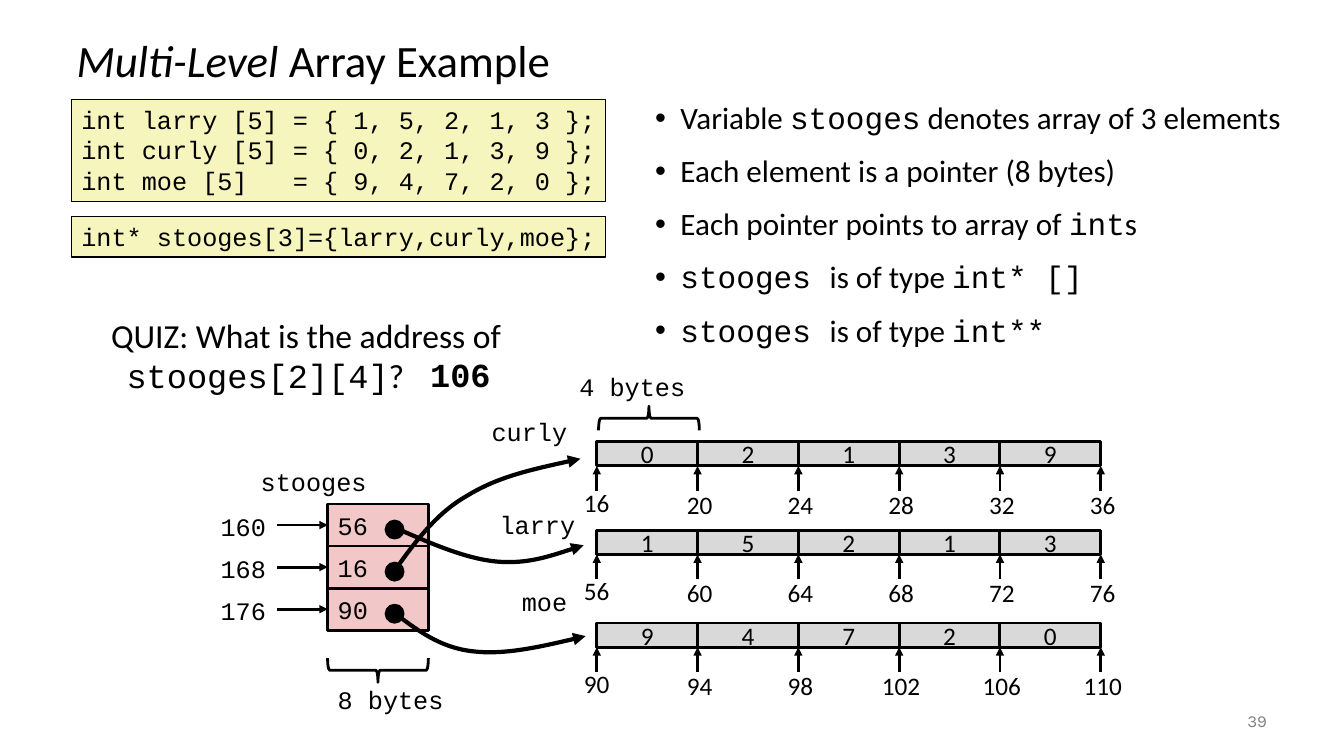
"""Build a slide on multi-level arrays: code, notes and a pointer diagram."""
from dataclasses import dataclass

from lxml import etree
from pptx import Presentation
from pptx.dml.color import RGBColor
from pptx.enum import shapes, text
from pptx.oxml.ns import qn
from pptx.util import Cm, Pt


@dataclass
class Theme:
    ink = RGBColor.from_string("000000")
    code_fill = RGBColor.from_string("F6F5BD")
    pointer_fill = RGBColor.from_string("F1C7C7")
    memory_fill = RGBColor.from_string("D9D9D9")
    muted = RGBColor.from_string("808080")
    sans = "Calibri"
    mono = "Courier New"
    footer = "Karla"
    title = Pt(32)
    quiz = Pt(24)
    body = Pt(22.2)
    label = Pt(18)
    number = Pt(12)


theme = Theme()
LEFT, CENTER, RIGHT = text.PP_ALIGN.LEFT, text.PP_ALIGN.CENTER, text.PP_ALIGN.RIGHT
TOP, MIDDLE = text.MSO_ANCHOR.TOP, text.MSO_ANCHOR.MIDDLE
RECT = shapes.MSO_SHAPE.RECTANGLE


def write(shape, lines, size, wrap=True, anchor=TOP, **layout):
    """Fill a shape with lines of (text, font name, extra format) runs."""
    frame = shape.text_frame
    frame.word_wrap, frame.vertical_anchor = wrap, anchor
    for number, line in enumerate(lines):
        paragraph = frame.add_paragraph() if number else frame.paragraphs[0]
        for name, value in {"alignment": LEFT, **layout}.items():
            if number or name != "space_before":
                setattr(paragraph, name, value)
        for words, font, *extra in line:
            run = paragraph.add_run()
            run.text = words
            style = {"name": font, "size": size, **(extra[0] if extra else {})}
            run.font.color.rgb = style.pop("color", theme.ink)
            for name, value in style.items():
                setattr(run.font, name, value)
    return frame


def outline(shape, width, fill=None, arrow=False):
    """Give a shape or connector its line, fill and optional arrowhead."""
    shape.line.color.rgb = theme.ink
    shape.line.width = Pt(width)
    properties = shape.element.spPr
    if arrow:
        etree.SubElement(properties.find(qn("a:ln")), qn("a:tailEnd"), type="triangle")
    if hasattr(shape, "fill"):
        shape.shadow.inherit = False
        if fill is None:
            shape.fill.background()
        else:
            shape.fill.solid()
            shape.fill.fore_color.rgb = fill
    else:
        etree.SubElement(properties, qn("a:effectLst"))


deck = Presentation()
deck.slide_width, deck.slide_height = Cm(33.87), Cm(19.05)
canvas = deck.slides.add_slide(deck.slide_layouts[6]).shapes

title = canvas.add_textbox(Cm(1.68), Cm(0.64), Cm(30.48), Cm(1.9))
write(title, [[("Multi-Level ", theme.sans, {"italic": True}), ("Array Example", theme.sans)]],
      theme.title, anchor=MIDDLE, line_spacing=0.9)

notes = canvas.add_textbox(Cm(16.26), Cm(2.46), Cm(16.66), Cm(6.76))
facts = write(notes, [
    [("Variable ", theme.sans), ("stooges", theme.mono), (" denotes array of 3 elements", theme.sans)],
    [("Each element is a pointer (8 bytes)", theme.sans)],
    [("Each pointer points to array of ", theme.sans), ("int", theme.mono), ("s", theme.sans)],
    [("stooges ", theme.mono), ("is of type ", theme.sans), ("int* []", theme.mono)],
    [("stooges ", theme.mono), ("is of type ", theme.sans), ("int**", theme.mono)],
], theme.body, line_spacing=0.9, space_before=Pt(14))
for fact in facts.paragraphs:
    indents = fact._p.get_or_add_pPr()
    indents.set("marL", str(Cm(0.64)))
    indents.set("indent", str(-Cm(0.64)))
    etree.SubElement(indents, qn("a:buFont"), typeface="Arial")
    etree.SubElement(indents, qn("a:buChar"), char="•")

arrays_code = [
    "int larry [5] = { 1, 5, 2, 1, 3 };",
    "int curly [5] = { 0, 2, 1, 3, 9 };",
    "int moe [5]   = { 9, 4, 7, 2, 0 };",
]
pointers_code = ["int* stooges[3]={larry,curly,moe};"]
for code, top, height in ((arrays_code, 2.51, 2.57), (pointers_code, 5.46, 1.02)):
    listing = canvas.add_shape(RECT, Cm(1.8), Cm(top), Cm(13.46), Cm(height))
    outline(listing, 1, theme.code_fill)
    write(listing, [[(line, theme.mono)] for line in code], theme.label, wrap=False)

cell_width = 2.54
pointer_left, pointer_top, pointer_height = 8.26, 12.7, 1.06
labels = [
    ("stooges", 6.32, 11.63), ("curly", 12.14, 10.36), ("larry", 12.34, 12.7),
    ("moe", 12.9, 14.66), ("8 bytes", 8.26, 17.12), ("4 bytes", 14.35, 9.22),
]
for row, (address, target) in enumerate((("160", "56"), ("168", "16"), ("176", "90"))):
    top = pointer_top + row * pointer_height
    pointer = canvas.add_shape(RECT, Cm(pointer_left), Cm(top), Cm(cell_width), Cm(pointer_height))
    outline(pointer, 2, theme.pointer_fill)
    write(pointer, [[(target, theme.mono)]], theme.label, anchor=MIDDLE)
    middle = pointer.top + pointer.height // 2
    address_arrow = canvas.add_connector(
        shapes.MSO_CONNECTOR.STRAIGHT, Cm(6.98), middle, Cm(pointer_left), middle)
    address_arrow.end_connect(pointer, 1)
    outline(address_arrow, 2, arrow=True)
    dot = canvas.add_shape(shapes.MSO_SHAPE.OVAL, Cm(9.73), Cm(top + 0.43), Cm(0.43), Cm(0.43))
    outline(dot, 2, theme.ink)
    labels.append((address, 5.31, top + 0.05))

for words, left, top in labels:
    label = canvas.add_textbox(Cm(left), Cm(top), Cm(0.51 + 0.38 * len(words)), Cm(1.02))
    write(label, [[(words, theme.mono)]], theme.label, wrap=False)

memory_left, memory_height = 15.04, 0.61
memory = [(11.13, 16, "02139"), (13.36, 56, "15213"), (15.7, 90, "94720")]
for top, base, digits in memory:
    for column, digit in enumerate(digits):
        cell = canvas.add_shape(RECT, Cm(memory_left + column * cell_width), Cm(top),
                                Cm(cell_width), Cm(memory_height))
        outline(cell, 2, theme.memory_fill)
        write(cell, [[(digit, theme.sans)]], theme.label, anchor=MIDDLE, alignment=CENTER)
    for column in range(len(digits) + 1):
        edge = memory_left + column * cell_width
        width, shift = (2.74, 0.05) if column else (1.85, 0)
        tick = canvas.add_connector(shapes.MSO_CONNECTOR.STRAIGHT, Cm(edge), Cm(top + 1.23),
                                    Cm(edge), Cm(top + memory_height))
        outline(tick, 2, arrow=True)
        address = canvas.add_textbox(Cm(edge + shift - width / 2), Cm(top + 1.02 + shift),
                                     Cm(width), Cm(1.02))
        write(address, [[(str(base + 4 * column), theme.sans)]], theme.label, alignment=CENTER)

pointer_curves = [
    [(9.93, 14.4), (10.44, 13.69), (10.97, 12.95), (11.76, 12.5),
     (12.55, 12.01), (13.59, 11.79), (14.63, 11.56)],
    [(9.98, 13.31), (10.85, 13.69), (11.71, 14.07), (12.5, 14.15),
     (13.28, 14.22), (14, 13.97), (14.71, 13.74)],
    [(9.93, 15.44), (10.52, 15.88), (11.07, 16.31), (11.89, 16.41),
     (12.67, 16.51), (13.72, 16.28), (14.76, 16.03)],
]
for points in pointer_curves:
    start, *controls = [(Cm(x), Cm(y)) for x, y in points]
    builder = canvas.build_freeform(*start)
    builder.add_line_segments(controls, close=False)
    curve = builder.convert_to_shape()
    track = curve.element.find(".//" + qn("a:path"))
    segments = track.findall(qn("a:lnTo"))
    for first in (0, 3):
        bezier = etree.SubElement(track, qn("a:cubicBezTo"))
        for segment in segments[first:first + 3]:
            bezier.append(segment[0])
            track.remove(segment)
    outline(curve, 3, arrow=True)

for left, top, turn in ((9.22, 15.62, 90), (16.05, 9.27, 270)):
    brace = canvas.add_shape(shapes.MSO_SHAPE.RIGHT_BRACE, Cm(left), Cm(top), Cm(0.61), Cm(cell_width))
    brace.rotation = turn
    outline(brace, 2)

quiz = canvas.add_textbox(Cm(2.36), Cm(7.8), Cm(10.54), Cm(2.31))
question = write(quiz, [
    [("QUIZ: What is the address of", theme.sans)],
    [("stooges[2][4]", theme.mono), ("?", theme.sans)],
], theme.quiz)
for paragraph, indent in zip(question.paragraphs, (0.19, 0.58)):
    paragraph._p.get_or_add_pPr().set("marL", str(Cm(indent)))

answer = canvas.add_textbox(Cm(10.59), Cm(8.79), Cm(2.06), Cm(1.27))
write(answer, [[("106", theme.mono, {"bold": True})]], theme.quiz, wrap=False)

page = canvas.add_textbox(Cm(29.64), Cm(17.65), Cm(2.54), Cm(1.02))
write(page, [[("39", theme.footer, {"color": theme.muted})]], theme.number,
      anchor=MIDDLE, alignment=RIGHT)

deck.save("out.pptx")
